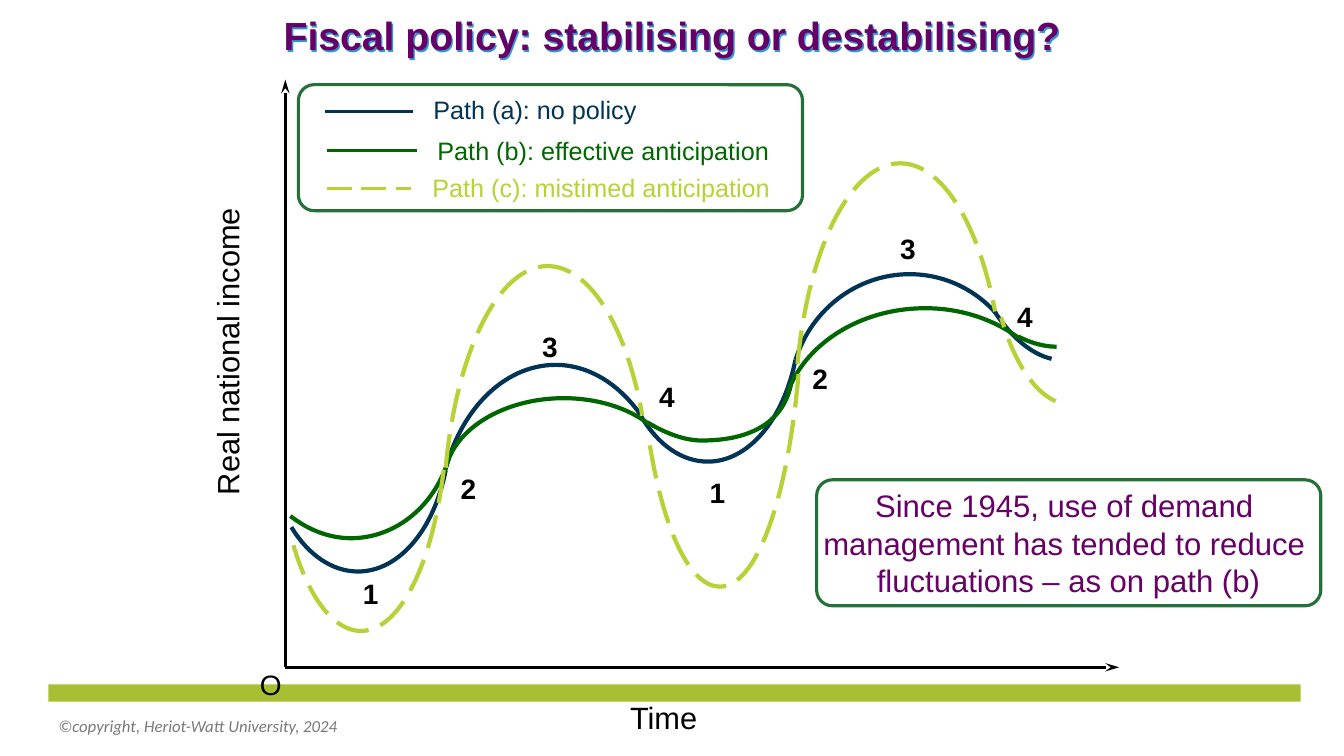
from lxml import etree
from pptx import Presentation, util as u
from pptx.dml import color
from pptx.enum import dml, shapes, text
from pptx.oxml import ns

INK, NAVY, GREEN, LIME = "000000", "003454", "006600", "B8D137"
PLUM, FRAME = "660066", "257039"

AXES = [
    ((2.83, 0.79), (2.83, 6.62), "a:headEnd"),
    ((2.83, 6.62), (11.1, 6.62), "a:tailEnd"),
]

BAR = (0.48, 6.79, 12.42, 0.17)
TITLE = ("Fiscal policy: stabilising or destabilising?", (0, 0.08, 13.33, 0.6))
CREDIT = ("©copyright, Heriot-Watt University, 2024", (0.48, 7, 4.5, 0.4))
NOTE = "Since 1945, use of demand \vmanagement has tended to reduce \vfluctuations – as on path (b)"
FRAMES = [((2.96, 0.84, 5, 1.25), ""), ((8.1, 4.76, 5, 1.25), NOTE)]

NAMES = [
    ("O", (2.48, 6.57, 0.42, 0.44), 20, 0),
    ("Real national income", (0.71, 3.23, 3.09, 0.47), 22, 270),
    ("Time", (6.15, 6.88, 0.88, 0.47), 22, 0),
]

MARKS = [
    ("1", 3.5, 5.67), ("2", 4.47, 4.63), ("3", 5.28, 3.22), ("4", 6.44, 3.72),
    ("1", 6.94, 4.67), ("2", 7.96, 3.54), ("3", 8.83, 2.25), ("4", 9.99, 2.92),
]

KEYS = [
    ("Path (a): no policy", NAVY, 3.22, 4.1, 1.11, (4.2, 0.89, 2.24, 0.4)),
    ("Path (b): effective anticipation", GREEN, 3.24, 4.14, 1.49, (4.24, 1.29, 3.72, 0.4)),
    ("Path (c): mistimed anticipation", LIME, 3.24, 4.08, 1.87, (4.19, 1.66, 3.58, 0.4)),
]

CURVES = {
    NAVY: [
        ((3.55, 4.26), [(4.42, 4.67), (4.3, 5.27), (3.95, 5.67), (3.55, 5.67), (3.3, 5.67), (3.06, 5.51), (2.89, 5.23)]),
        ((5.51, 5.19), [(4.4, 4.73), (4.55, 4.07), (5, 3.62), (5.51, 3.62), (5.83, 3.62), (6.13, 3.8), (6.35, 4.11)]),
        ((7.02, 3.15), [(7.89, 3.57), (7.77, 4.17), (7.42, 4.58), (7.02, 4.58), (6.77, 4.58), (6.53, 4.42), (6.36, 4.13)]),
        ((9.02, 3.97), [(7.89, 3.57), (8.05, 3.06), (8.51, 2.72), (9.02, 2.72), (9.35, 2.72), (9.66, 2.86), (9.88, 3.11)]),
        ((10.51, 2.02), [(10.43, 3.56), (10.22, 3.51), (10.03, 3.34), (9.87, 3.1)]),
    ],
    GREEN: [
        ((6.96, 3.62), [(7.85, 3.79), (7.78, 4.18), (7.46, 4.37), (6.96, 4.37), (6.77, 4.37), (6.57, 4.28), (6.42, 4.19)]),
        ((5.59, 4.77), [(4.46, 4.53), (4.61, 4.19), (5.07, 3.95), (5.59, 3.95), (5.91, 3.95), (6.22, 4.04), (6.44, 4.21)]),
        ((3.48, 4.18), [(4.46, 4.52), (4.33, 5.01), (3.93, 5.34), (3.48, 5.34), (3.27, 5.34), (3.06, 5.26), (2.88, 5.12)]),
        ((9.15, 4.15), [(7.81, 3.9), (7.97, 3.44), (8.48, 3.09), (9.09, 3.06), (9.47, 3.04), (9.83, 3.15), (10.1, 3.35)]),
        ((10.46, 2.34), [(10.48, 3.44), (10.35, 3.44), (10.22, 3.4), (10.1, 3.34)]),
    ],
    LIME: [
        ((3.58, 4), [(4.4, 4.66), (4.29, 5.61), (3.96, 6.26), (3.58, 6.26), (3.32, 6.26), (3.07, 5.95), (2.91, 5.41)]),
        ((5.43, 5.17), [(4.42, 4.64), (4.53, 3.47), (4.95, 2.64), (5.43, 2.64), (5.84, 2.64), (6.21, 3.22), (6.37, 4.12)]),
        ((7.14, 2.84), [(7.92, 3.71), (7.81, 4.97), (7.5, 5.82), (7.14, 5.82), (6.84, 5.82), (6.57, 5.25), (6.43, 4.32)]),
        ((8.93, 4.14), [(7.91, 3.61), (8.02, 2.45), (8.44, 1.62), (8.93, 1.62), (9.33, 1.62), (9.7, 2.19), (9.87, 3.09)]),
        ((10.61, 1.74), [(10.47, 3.98), (10.26, 3.89), (10.06, 3.6), (9.93, 3.15)]),
    ],
}


def size(val):
    return u.Cm(val * 2.54)


def paint(part, code):
    if hasattr(part, "solid"):
        part.solid()
        part = part.fore_color
    part.rgb = color.RGBColor.from_string(code)


def stroke(line, code, width):
    paint(line.fill, code)
    line.width = u.Pt(width)
    if code == LIME:
        line.dash_style = dml.MSO_LINE.LONG_DASH


def write(shape, words, code, points, wrap=False, align=text.PP_ALIGN.LEFT, gap=1.0, **style):
    frame = shape.text_frame
    frame.text = words
    frame.word_wrap = wrap
    para = frame.paragraphs[0]
    para.alignment = align
    para.line_spacing = gap
    looks = {"name": "Arial", "size": u.Pt(points), **style}
    for run in para.runs:
        for key, val in looks.items():
            setattr(run.font, key, val)
        paint(run.font.color, code)


def label(slide, words, box, code, points, **style):
    shape = slide.shapes.add_textbox(*map(size, box))
    write(shape, words, code, points, **style)
    return shape


def panel(slide, kind, box):
    shape = slide.shapes.add_shape(kind, *map(size, box))
    shape.shadow.inherit = False
    return shape


def link(slide, start, end, code, width):
    line = slide.shapes.add_connector(
        shapes.MSO_CONNECTOR.STRAIGHT, *map(size, (*start, *end)))
    stroke(line.line, code, width)
    etree.SubElement(line._element.spPr, ns.qn("a:effectLst"))
    return line


def curve(slide, hub, nodes, code):
    first, *rest = [(size(x), size(y)) for x, y in [*nodes, hub]]
    pen = slide.shapes.build_freeform(*first)
    pen.add_line_segments(rest, close=False)
    shape = pen.convert_to_shape()
    *legs, last = list(shape._element.iter(ns.qn("a:lnTo")))
    track = last.getparent()
    track.remove(last)
    for i in range(0, len(legs), 3):
        arc = etree.SubElement(track, ns.qn("a:cubicBezTo"))
        for leg in legs[i:i + 3]:
            arc.append(leg[0])
            track.remove(leg)
    shape.shadow.inherit = False
    shape.fill.background()
    stroke(shape.line, code, 3)


def shade(shape, code):
    glow = etree.SubElement(shape._element.spPr, ns.qn("a:effectLst"))
    drop = etree.SubElement(glow, ns.qn("a:outerShdw"), dist="17961", dir="2700000")
    etree.SubElement(drop, ns.qn("a:srgbClr"), val=code)


def main():
    deck = Presentation()
    deck.slide_width, deck.slide_height = size(13.33), size(7.5)
    slide = deck.slides.add_slide(deck.slide_layouts[6])

    bar = panel(slide, shapes.MSO_SHAPE.RECTANGLE, BAR)
    paint(bar.fill, "A8BF33")
    bar.line.fill.background()
    middle = text.MSO_ANCHOR.MIDDLE
    credit = label(slide, *CREDIT, "797979", 12, wrap=True, name="Calibri", italic=True)
    credit.text_frame.vertical_anchor = middle

    for start, end, tip in AXES:
        axis = link(slide, start, end, INK, 2)
        etree.SubElement(axis.line._get_or_add_ln(), ns.qn(tip), type="stealth", len="lg")
    for words, box, points, turn in NAMES:
        label(slide, words, box, INK, points).rotation = turn
    for words, x, y in MARKS:
        label(slide, words, (x, y, 0.36, 0.44), INK, 20, bold=True)

    for code in (NAVY, GREEN):
        for hub, nodes in CURVES[code]:
            curve(slide, hub, nodes, code)

    title = label(slide, *TITLE, PLUM, 28, wrap=True, align=text.PP_ALIGN.CENTER, gap=0.9, bold=True)
    title.text_frame.vertical_anchor = middle
    shade(title, "3399CC")

    for hub, nodes in CURVES[LIME]:
        curve(slide, hub, nodes, LIME)

    for box, words in FRAMES:
        frame = panel(slide, shapes.MSO_SHAPE.ROUNDED_RECTANGLE, box)
        frame.adjustments[0] = 0.125
        frame.fill.background()
        stroke(frame.line, FRAME, 2.25)
        if words:
            write(frame, words, PLUM, 22.2, align=text.PP_ALIGN.CENTER)
            frame.text_frame.vertical_anchor = middle
    for words, code, left, right, y, box in KEYS:
        link(slide, (left, y), (right, y), code, 2.25)
        label(slide, words, box, code, 18)

    deck.save("out.pptx")


if __name__ == "__main__":
    main()
